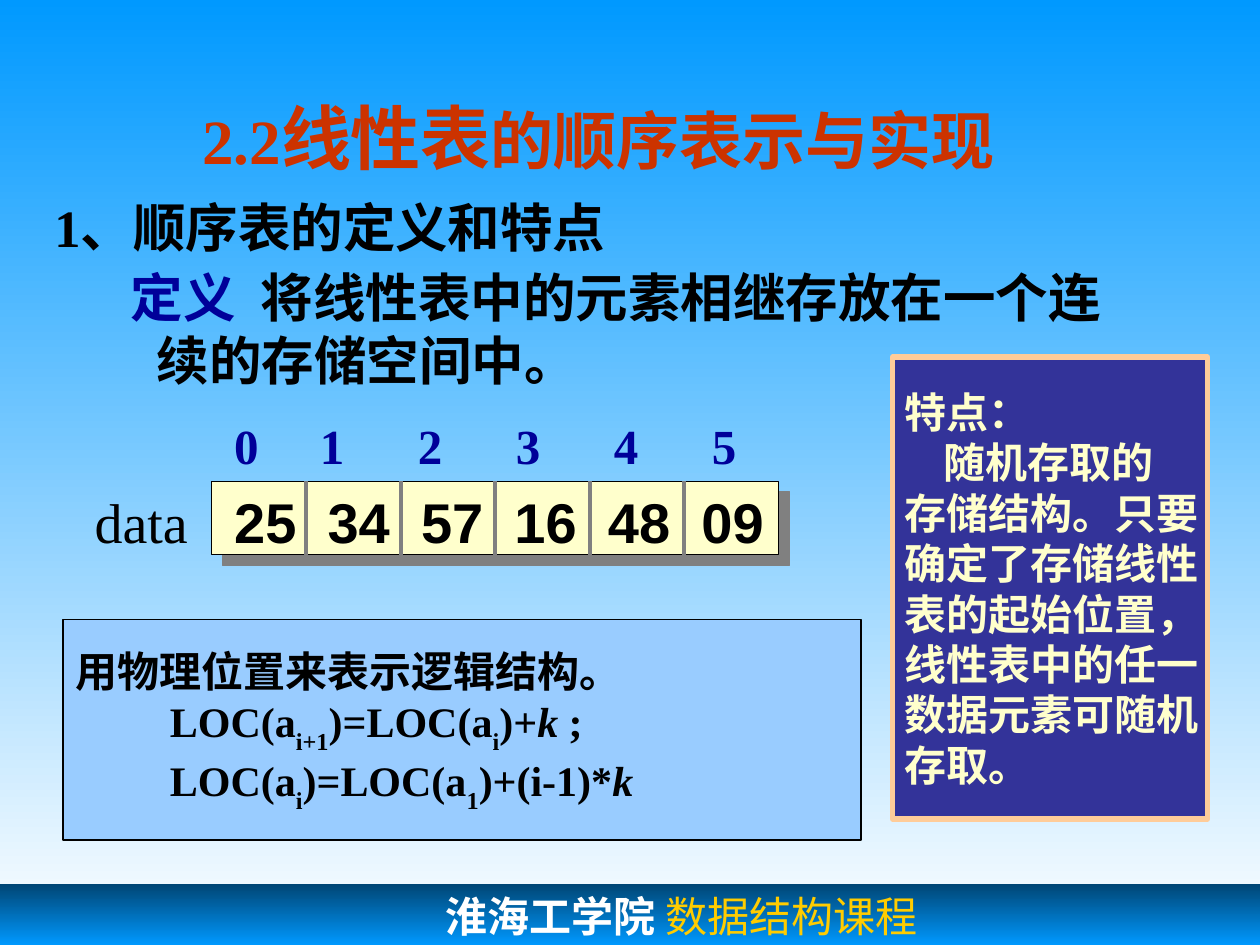
from lxml.etree import SubElement
from pptx import Presentation
from pptx.dml.color import RGBColor
from pptx.enum.shapes import MSO_CONNECTOR, MSO_SHAPE
from pptx.enum.text import MSO_ANCHOR, PP_ALIGN
from pptx.oxml.ns import qn
from pptx.util import Pt

SERIF = "Times New Roman"
CJK = "Noto Sans CJK SC"
hex_color = RGBColor.from_string


def add_box(left, top, width, height, fill=None, line=None, line_width=0.75, anchor=MSO_ANCHOR.TOP):
    frame = [Pt(value) for value in (left, top, width, height)]
    if fill:
        box = slide.shapes.add_shape(MSO_SHAPE.RECTANGLE, *frame)
        box.shadow.inherit = False
        box.fill.solid()
        box.fill.fore_color.rgb = hex_color(fill)
        if line:
            box.line.color.rgb = hex_color(line)
            box.line.width = Pt(line_width)
        else:
            box.line.fill.background()
    else:
        box = slide.shapes.add_textbox(*frame)
    box.text_frame.word_wrap = True
    box.text_frame.vertical_anchor = anchor
    box.text_frame.paragraphs[0].alignment = PP_ALIGN.LEFT
    return box


def add_run(paragraph, text, size, color, bold=True, font=SERIF, italic=False):
    run = paragraph.add_run()
    run.text = text
    run.font.size = Pt(size)
    run.font.bold = bold
    run.font.italic = italic
    run.font.name = font
    run.font.color.rgb = hex_color(color)
    properties = run._r.get_or_add_rPr()
    SubElement(properties, qn("a:ea"), typeface=CJK)
    return properties


presentation = Presentation()
presentation.slide_width = Pt(720)
presentation.slide_height = Pt(540)
slide = presentation.slides.add_slide(presentation.slide_layouts[6])

footer = add_box(0, 505.4, 720, 69.8, "0099FF")
gradients = [
    (slide.background.fill, ["0099FF", "FFFFFF"]),
    (footer.fill, ["004675", "0099FF", "004675"]),
]
for fill, colors in gradients:
    fill.gradient()
    fill.gradient_angle = 270
    stop_list = fill._fill._gradFill.find(qn("a:gsLst"))
    for stop in list(stop_list):
        stop_list.remove(stop)
    for index, color in enumerate(colors):
        position = 100000 * index // (len(colors) - 1)
        stop = SubElement(stop_list, qn("a:gs"), pos=str(position))
        SubElement(stop, qn("a:srgbClr"), val=color)

footer.text_frame.vertical_anchor = MSO_ANCHOR.TOP
course = footer.text_frame.paragraphs[0]
course._p.get_or_add_pPr().set("marL", str(Pt(247.7)))
add_run(course, "淮海工学院", 24, "FFFFFF", font="DejaVu Sans Mono")
add_run(course, " 数据结构课程", 24, "FFCC00", bold=False)

title = add_box(42, 48, 600, 60, anchor=MSO_ANCHOR.MIDDLE).text_frame.paragraphs[0]
title.alignment = PP_ALIGN.CENTER
for text, size in [("2.2", 36), ("线性表", 40), ("的顺序表示与实现", 36)]:
    add_run(title, text, size, "CC3300")

body = add_box(24, 108, 642, 204).text_frame
add_run(body.paragraphs[0], "1、顺序表的定义和特点", 30, "000000")
definition = body.add_paragraph()
definition.space_before = Pt(3.7)
indents = definition._p.get_or_add_pPr()
indents.set("marL", str(Pt(58.5)))
indents.set("indent", str(Pt(-14.8)))
add_run(definition, "定义", 30, "000099")
add_run(definition, " ", 30, "000000").set("spc", "750")
add_run(definition, "将线性表中的元素相继存放在一个连续的存储空间中。", 30, "000000")

array_left, array_top, cell_width, cell_height = 121, 275, 54, 42
array = add_box(array_left, array_top, 6 * cell_width, cell_height, "FFFFCC", "000000")
effects = array._element.spPr.find(qn("a:effectLst"))
shadow = SubElement(effects, qn("a:outerShdw"), dist=str(Pt(8.5)), dir="2700000", algn="ctr", rotWithShape="0")
SubElement(shadow, qn("a:srgbClr"), val="808080")

array_rows = [
    (array_top, 46, ["25", "34", "57", "16", "48", "09"], 32, "Arial", "000000", 53.4, 53.4),
    (234, 41, ["0", "1", "2", "3", "4", "5"], 28, SERIF, "000099", 49, 56),
]
for top, height, entries, size, font, color, first_stop, step in array_rows:
    row = add_box(126.7, top, 323, height).text_frame.paragraphs[0]
    tab_list = SubElement(row._p.get_or_add_pPr(), qn("a:tabLst"))
    for index in range(5):
        SubElement(tab_list, qn("a:tab"), pos=str(Pt(first_stop + index * step)), algn="l")
    add_run(row, "\t".join(entries), size, color, font=font)

for index in range(1, 6):
    x = Pt(array_left + index * cell_width)
    divider = slide.shapes.add_connector(MSO_CONNECTOR.STRAIGHT, x, Pt(array_top), x, Pt(array_top + cell_height))
    divider.line.color.rgb = hex_color("808080")
    divider.line.width = Pt(2.25)
    SubElement(divider._element.spPr, qn("a:effectLst"))

array_name = add_box(47, array_top, 68, 46).text_frame
array_name.word_wrap = False
add_run(array_name.paragraphs[0], "data", 32, "000000", bold=False)

location = add_box(36, 354, 456, 126, "99CCFF", "000000", anchor=MSO_ANCHOR.MIDDLE).text_frame
add_run(location.paragraphs[0], "用物理位置来表示逻辑结构。", 24, "000000")
formulas = [
    [("LOC(a", ""), ("i+1", "sub"), (")=LOC(a", ""), ("i", "sub"), (")+", ""), ("k", "italic"), (" ;", "")],
    [("LOC(a", ""), ("i", "sub"), (")=LOC(a", ""), ("1", "sub"), (")+(i-1)*", ""), ("k", "italic")],
]
for formula in formulas:
    line = location.add_paragraph()
    line.alignment = PP_ALIGN.LEFT
    line._p.get_or_add_pPr().set("marL", str(Pt(54)))
    for text, style in formula:
        properties = add_run(line, text, 24, "000000", italic=style == "italic")
        if style == "sub":
            properties.set("baseline", "-30000")

features = add_box(510, 204, 180, 264, "333399", "FFCC99", 3, MSO_ANCHOR.MIDDLE).text_frame
features.word_wrap = False
feature_lines = [
    "特点：", "随机存取的", "存储结构。只要", "确定了存储线性",
    "表的起始位置，", "线性表中的任一", "数据元素可随机", "存取。",
]
for index, text in enumerate(feature_lines):
    line = features.add_paragraph() if index else features.paragraphs[0]
    line.alignment = PP_ALIGN.LEFT
    if index == 1:
        line._p.get_or_add_pPr().set("marL", str(Pt(22)))
    add_run(line, text, 24, "FFFFCC", font=CJK)

presentation.save("out.pptx")
